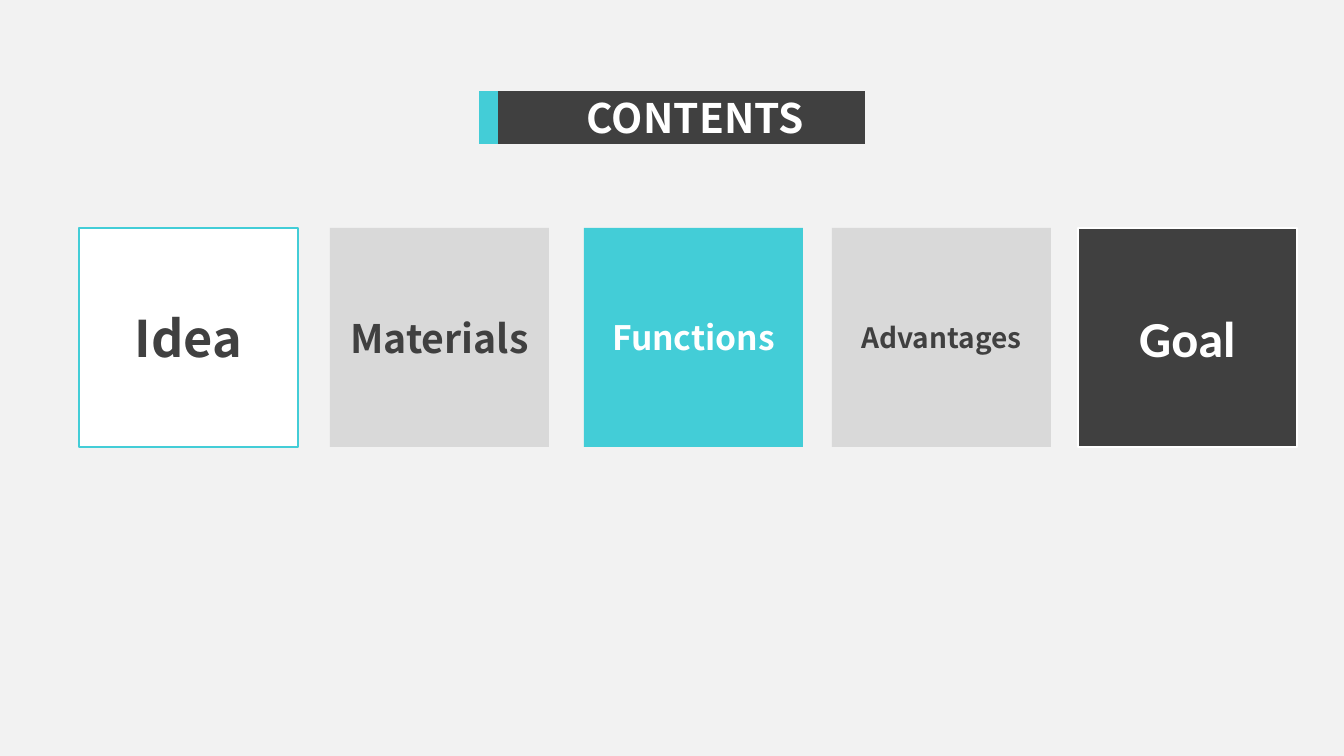
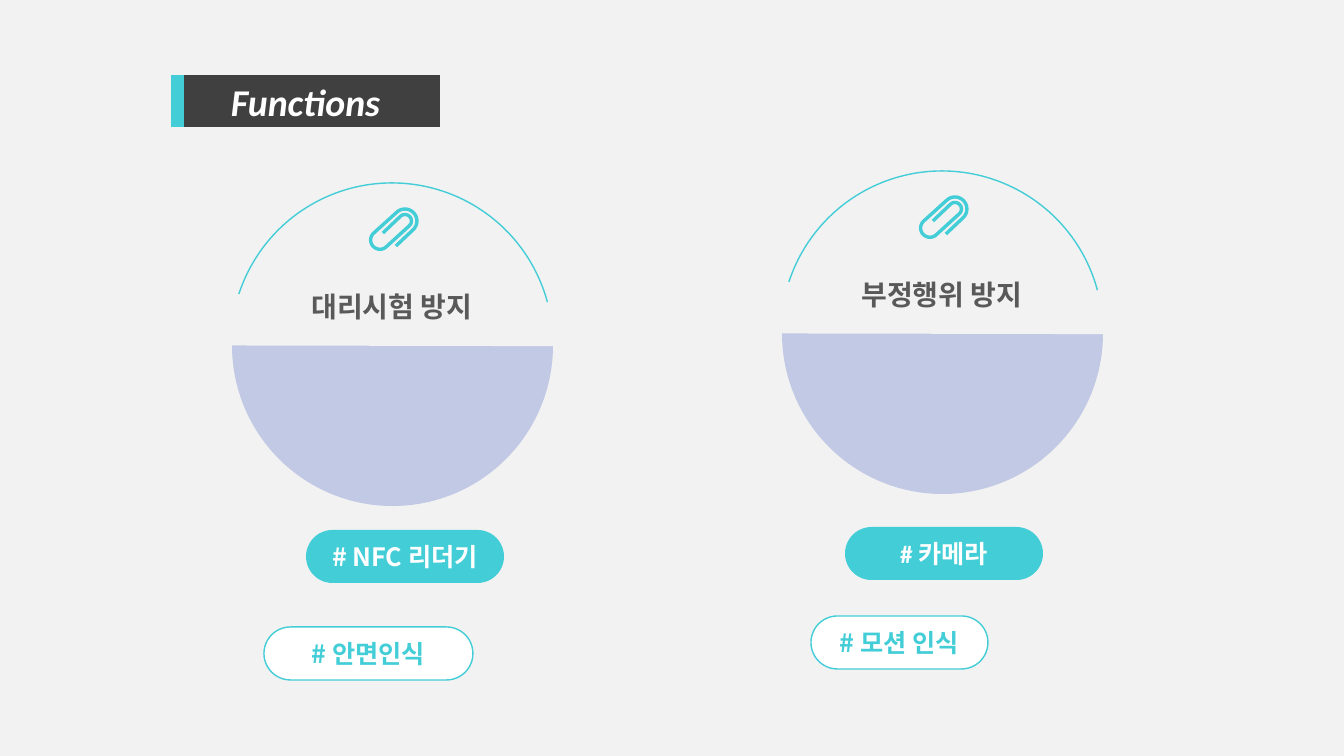
from dataclasses import dataclass
from math import cos, radians, sin

from lxml import etree
from pptx import Presentation
from pptx import util as u
from pptx.dml.color import RGBColor
from pptx.enum import shapes, text
from pptx.oxml.ns import qn

# Shared look
PX = 914400 / 100.8
TEAL, DARK, GREY, PALE = "43CDD7", "404040", "D9D9D9", "F2F2F2"
WHITE, LILAC, LABEL = "FFFFFF", "C1C9E4", "595959"
NOTO, CALIBRI = "Noto Sans CJK KR", "Calibri"
KIND = shapes.MSO_SHAPE


@dataclass
class Style:
    size: int
    color: str
    font: str = NOTO
    italic: bool = False


@dataclass
class Box:
    left: int
    top: int
    width: int
    height: int
    words: str
    style: Style
    fill: str
    line: str | None = None
    weight: float = 1


@dataclass
class Disc:
    left: int
    top: int
    words: str


def px(n: float) -> int:
    return round(n * PX)


def rgb(value: str) -> RGBColor:
    return RGBColor.from_string(value)


# Drawing functions
def paint(sp, fill: str | None, line: str | None = None, weight: float = 1) -> None:
    sp.shadow.inherit = False
    if fill:
        sp.fill.solid()
        sp.fill.fore_color.rgb = rgb(fill)
    else:
        sp.fill.background()
    if line:
        sp.line.color.rgb = rgb(line)
        sp.line.width = u.Pt(weight)
    else:
        sp.line.fill.background()


def add_shape(parent, kind, left: int, top: int, width: int, height: int, adjust=()):
    sp = parent.shapes.add_shape(kind, px(left), px(top), px(width), px(height))
    for i, value in enumerate(adjust):
        sp.adjustments[i] = value
    return sp


def write(sp, words: str, style: Style, align=text.PP_ALIGN.CENTER):
    tf = sp.text_frame
    tf.word_wrap = True
    p = tf.paragraphs[0]
    p.text = words
    p.alignment = align
    f = p.font
    f.name, f.size, f.bold, f.italic = style.font, u.Pt(style.size), True, style.italic
    f.color.rgb = rgb(style.color)
    props = p._p.get_or_add_pPr().get_or_add_defRPr()
    etree.SubElement(props, qn("a:ea"), typeface=NOTO)
    return p


def add_box(slide, box: Box, radius: float | None = None, inset: int = 10) -> None:
    kind = KIND.RECTANGLE if radius is None else KIND.ROUNDED_RECTANGLE
    adjust = () if radius is None else (radius,)
    sp = add_shape(slide, kind, box.left, box.top, box.width, box.height, adjust)
    paint(sp, box.fill, box.line, box.weight)
    tf = sp.text_frame
    tf.margin_left = tf.margin_right = px(inset)
    tf.vertical_anchor = text.MSO_ANCHOR.MIDDLE
    write(sp, box.words, box.style)


def add_title(slide, left: int, top: int, width: int, height: int,
              words: str, style: Style, indent: int) -> None:
    sp = add_shape(slide, KIND.ROUNDED_RECTANGLE, left, top, width, height, (0,))
    paint(sp, DARK)
    sp.fill.gradient()
    sp.fill.gradient_angle = 180
    for stop, color in zip(sp.fill.gradient_stops, (DARK, TEAL)):
        stop.position = 0.95
        stop.color.rgb = rgb(color)
    sp.text_frame.vertical_anchor = text.MSO_ANCHOR.MIDDLE
    p = write(sp, words, style, text.PP_ALIGN.LEFT)
    p._p.get_or_add_pPr().set("marL", str(px(indent)))
    p._p.get_or_add_pPr().set("indent", "0")


# Paper clip wire: centre x, centre y, radius, first and last angle of each bend
BENDS = [(27, 39, 0, 45, 45), (36, 14, 12, 45, -135), (11, 33, 9.3, -135, -315),
         (36, 14, 6.5, 45, -135), (14, 26, 0, -135, -135)]
HALF_WIRE = 1.7


def clip_side(left: int, top: int, offset: float) -> list[tuple[int, int]]:
    points = []
    for cx, cy, radius, first, last in BENDS:
        steps = 16 if first != last else 0
        for i in range(steps + 1):
            angle = radians(first + (last - first) * i / max(steps, 1))
            reach = radius + offset
            points.append((px(left + cx + reach * cos(angle)),
                           px(top + cy + reach * sin(angle))))
    return points


def add_clip(parent, left: int, top: int) -> None:
    outline = clip_side(left, top, HALF_WIRE) + clip_side(left, top, -HALF_WIRE)[::-1]
    builder = parent.shapes.build_freeform(*outline[0])
    builder.add_line_segments(outline[1:], close=True)
    paint(builder.convert_to_shape(), TEAL)


def add_disc(slide, disc: Disc) -> None:
    group = slide.shapes.add_group_shape()
    x, y = disc.left, disc.top
    paint(add_shape(group, KIND.OVAL, x + 6, y + 5, 321, 321), LILAC)
    paint(add_shape(group, KIND.CHORD, x, y, 331, 331, (108.01, 0.13)), PALE)
    paint(add_shape(group, KIND.ARC, x + 5, y + 3, 322, 322, (118.86, 206.97)), None, TEAL)
    add_clip(group, x + 143, y + 27)
    label = group.shapes.add_textbox(px(x + 49), px(y + 88), px(234), px(54))
    label.text_frame.auto_size = text.MSO_AUTO_SIZE.SHAPE_TO_FIT_TEXT
    write(label, disc.words, Style(20, LABEL)).line_spacing = 1.5


def add_slide(prs):
    s = prs.slides.add_slide(prs.slide_layouts[6])
    s.background.fill.solid()
    s.background.fill.fore_color.rgb = rgb(PALE)
    return s


# Slide content
def tile(left: int, words: str, style: Style, fill: str, line: str | None = None) -> Box:
    return Box(left, 228, 219, 219, words, style, fill, line, 1.5)


def pill(left: int, top: int, width: int, words: str, solid: bool, font: str = NOTO) -> Box:
    ink, fill, line = (WHITE, TEAL, None) if solid else (TEAL, WHITE, TEAL)
    return Box(left, top, width, 53, words, Style(18, ink, font), fill, line)


TILES = [
    tile(79, "Idea", Style(36, DARK), WHITE, TEAL),
    tile(330, "Materials", Style(28, DARK), GREY),
    tile(584, "Functions", Style(24, WHITE), TEAL),
    tile(832, "Advantages", Style(20, DARK), GREY),
    tile(1078, "Goal", Style(36, WHITE, CALIBRI), DARK, WHITE),
]
PILLS = [
    pill(306, 530, 198, "# NFC 리더기", True),
    pill(264, 627, 209, "# 안면인식", False),
    pill(811, 616, 177, "# 모션 인식", False),
    pill(845, 527, 198, "# 카메라", True, CALIBRI),
]
DISCS = [Disc(226, 180, "대리시험 방지"), Disc(776, 168, "부정행위 방지")]


def main() -> None:
    prs = Presentation()
    prs.slide_width, prs.slide_height = px(1344), px(756)

    # Contents
    s = add_slide(prs)
    add_title(s, 479, 91, 386, 53, "CONTENTS", Style(29, WHITE), 98)
    for box in TILES:
        add_box(s, box, inset=20)

    # Functions
    s = add_slide(prs)
    add_title(s, 171, 75, 269, 52, "Functions", Style(27, WHITE, CALIBRI, True), 50)
    for box in PILLS:
        add_box(s, box, radius=0.5)
    for disc in DISCS:
        add_disc(s, disc)

    prs.save("out.pptx")


if __name__ == "__main__":
    main()
